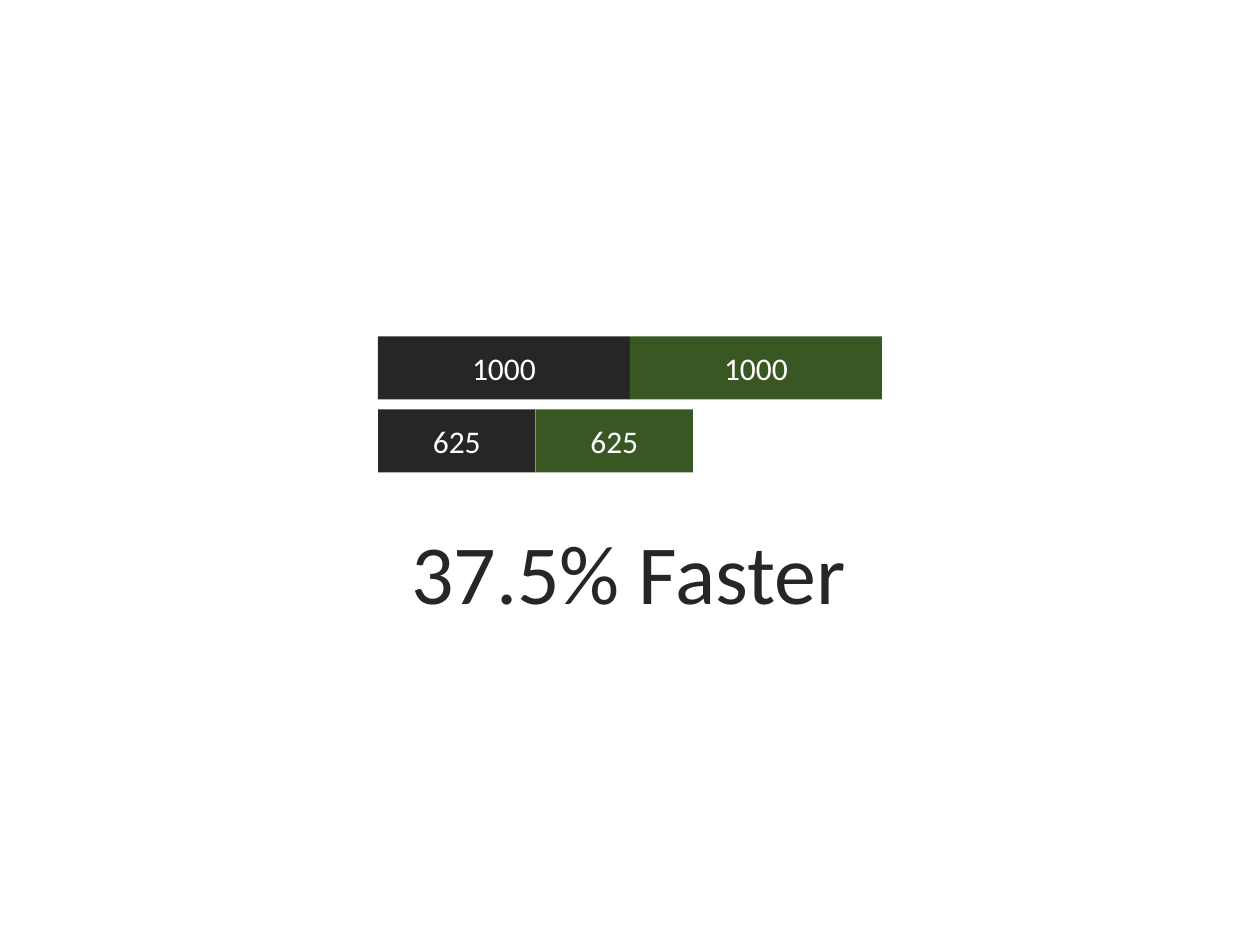
from pptx import Presentation
from pptx.dml.color import RGBColor
from pptx.enum import shapes, text
from pptx.util import Pt

HUES = {"dark": "262626", "green": "385723", "white": "FFFFFF"}


class Deck:
    font = "Calibri"

    def __init__(self, wide, high):
        self.prs = Presentation()
        self.prs.slide_width, self.prs.slide_height = Pt(wide), Pt(high)
        self.slide = self.prs.slides.add_slide(self.prs.slide_layouts[6])

    def hue(self, name):
        return RGBColor.from_string(HUES[name])

    def put(self, frame, words, size, color):
        frame.word_wrap = True
        par = frame.paragraphs[0]
        par.alignment = text.PP_ALIGN.CENTER
        run = par.add_run()
        run.text = words
        run.font.name, run.font.size = self.font, Pt(size)
        run.font.color.rgb = self.hue(color)

    def bar(self, left, top, wide, high, color, words):
        box = self.slide.shapes.add_shape(
            shapes.MSO_SHAPE.RECTANGLE, Pt(left), Pt(top), Pt(wide), Pt(high))
        box.shadow.inherit = False
        box.fill.solid()
        box.fill.fore_color.rgb = self.hue(color)
        box.line.fill.background()
        box.text_frame.vertical_anchor = text.MSO_ANCHOR.MIDDLE
        self.put(box.text_frame, words, 18, "white")

    def label(self, left, top, wide, high, words, size, color):
        box = self.slide.shapes.add_textbox(Pt(left), Pt(top), Pt(wide), Pt(high))
        self.put(box.text_frame, words, size, color)
        box.text_frame.auto_size = text.MSO_AUTO_SIZE.SHAPE_TO_FIT_TEXT


def main():
    deck = Deck(720, 540)

    # Stacked bars: width in proportion to the value
    left, high, scale = 216, 36, 144 / 1000
    for value, top in ((625, 234), (1000, 192.24)):
        wide = value * scale
        for col, color in enumerate(("dark", "green")):
            deck.bar(left + col * wide, top, wide, high, color, str(value))

    # Result
    deck.label(142.5, 293.76, 433.5, 65.5, "37.5% Faster", 48, "dark")

    deck.prs.save("out.pptx")


if __name__ == "__main__":
    main()
